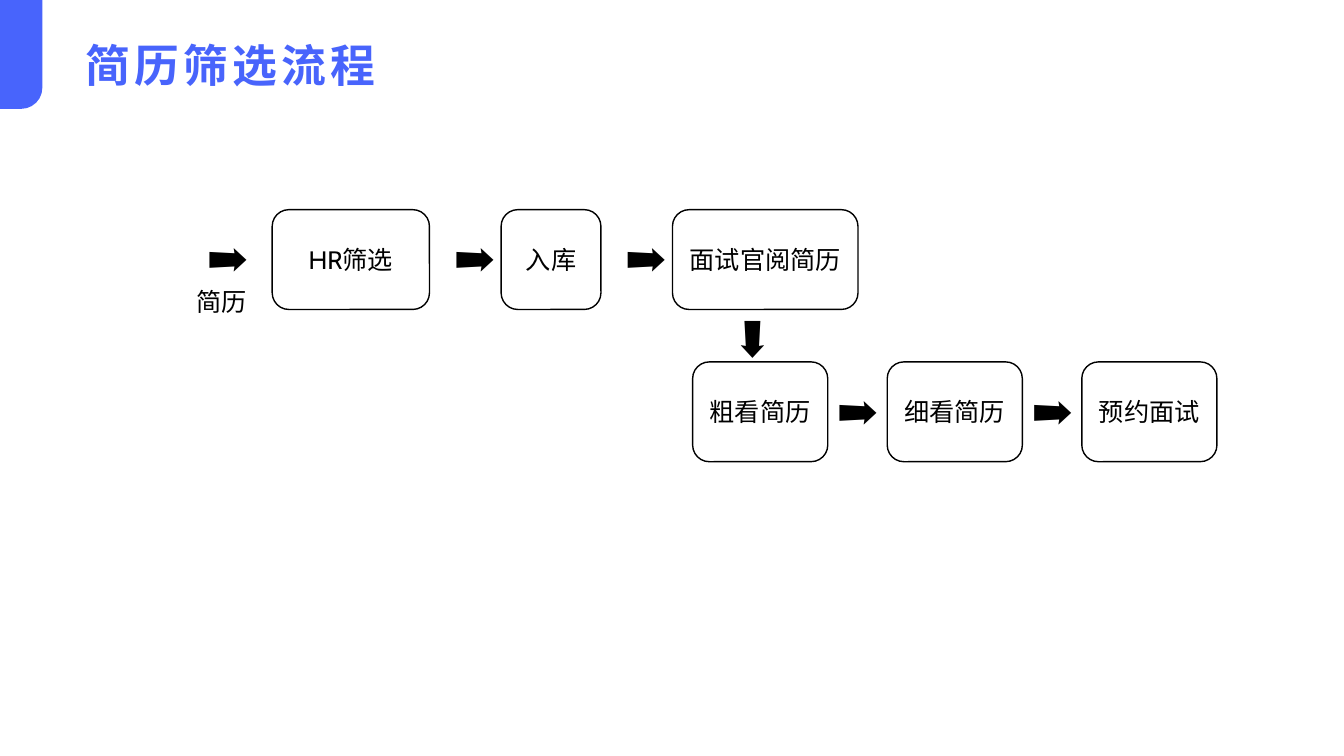
from pptx import Presentation
from pptx.dml.color import RGBColor
from pptx.enum.shapes import MSO_SHAPE as Shape
from pptx.enum.text import MSO_ANCHOR as Anchor, MSO_AUTO_SIZE as Fit, PP_ALIGN as Align
from pptx.util import Inches, Pt

TITLE = "简历筛选流程"
INPUT = "简历"
ROWS = [
    {"left": 2.7, "top": 2.08, "lead": 0.15, "gap": 0.71,
     "steps": [("HR筛选", 1.56), ("入库", 0.99), ("面试官阅简历", 1.84)]},
    {"left": 6.87, "top": 3.59, "lead": 0, "gap": 0.59,
     "steps": [("粗看简历", 1.34), ("细看简历", 1.34), ("预约面试", 1.34)]},
]
BLUE, BLACK = "4864FC", "000000"
HIGH, SIDE, DROP = 0.99, 0.42, 0.18


def color(code):
    return RGBColor.from_string(code)


def write(shape, text, size, tone=BLACK, face="Cabin", align=Align.LEFT):
    frame = shape.text_frame
    frame.word_wrap = True
    para = frame.paragraphs[0]
    para.alignment = align
    run = para.add_run()
    run.text = text
    font = run.font
    font.size, font.name = Pt(size), face
    font.color.rgb = color(tone)
    return run


def label(slide, text, size, x, y, w, h):
    box = slide.shapes.add_textbox(*map(Inches, (x, y, w, h)))
    write(box, text, size)
    return box


def arrow(slide, x, y, turn=0):
    label(slide, "➡", 28, x, y, SIDE, SIDE).rotation = turn


def step(slide, text, x, y, w):
    box = slide.shapes.add_shape(
        Shape.FLOWCHART_ALTERNATE_PROCESS, *map(Inches, (x, y, w, HIGH)))
    box.shadow.inherit = False
    box.fill.background()
    box.line.color.rgb = color(BLACK)
    box.line.width = Pt(1)
    box.text_frame.vertical_anchor = Anchor.MIDDLE
    write(box, text, 18, align=Align.CENTER)


def row(slide, left, top, lead, gap, steps):
    x = left
    for i, (text, w) in enumerate(steps):
        if i:
            arrow(slide, x + lead, top + DROP)
            x += gap
        step(slide, text, x, top, w)
        x += w


def main():
    deck = Presentation()
    deck.slide_width, deck.slide_height = Inches(13.33), Inches(7.5)
    slide = deck.slides.add_slide(deck.slide_layouts[5])

    tab = slide.shapes.add_shape(
        Shape.ROUND_1_RECTANGLE, *map(Inches, (-0.33, 0.33, 1.08, 0.42)))
    tab.rotation = 90
    tab.adjustments[0] = 0.5
    tab.shadow.inherit = False
    tab.fill.solid()
    tab.fill.fore_color.rgb = color(BLUE)
    tab.line.fill.background()

    title = slide.shapes.title
    title.left, title.top, title.width, title.height = map(
        Inches, (0.75, 0.22, 12, 0.74))
    title.text_frame.auto_size = Fit.NONE
    title.text_frame.vertical_anchor = Anchor.BOTTOM
    run = write(title, TITLE, 32, BLUE, "Karla")
    run.font.bold = True
    run.font._element.set("spc", "300")

    arrow(slide, 1.96, 2.26)
    label(slide, INPUT, 18, 1.85, 2.79, 0.8, 0.4)
    for item in ROWS:
        row(slide, **item)
    arrow(slide, 7.37, 3.07, 90)

    deck.save("out.pptx")


if __name__ == "__main__":
    main()
